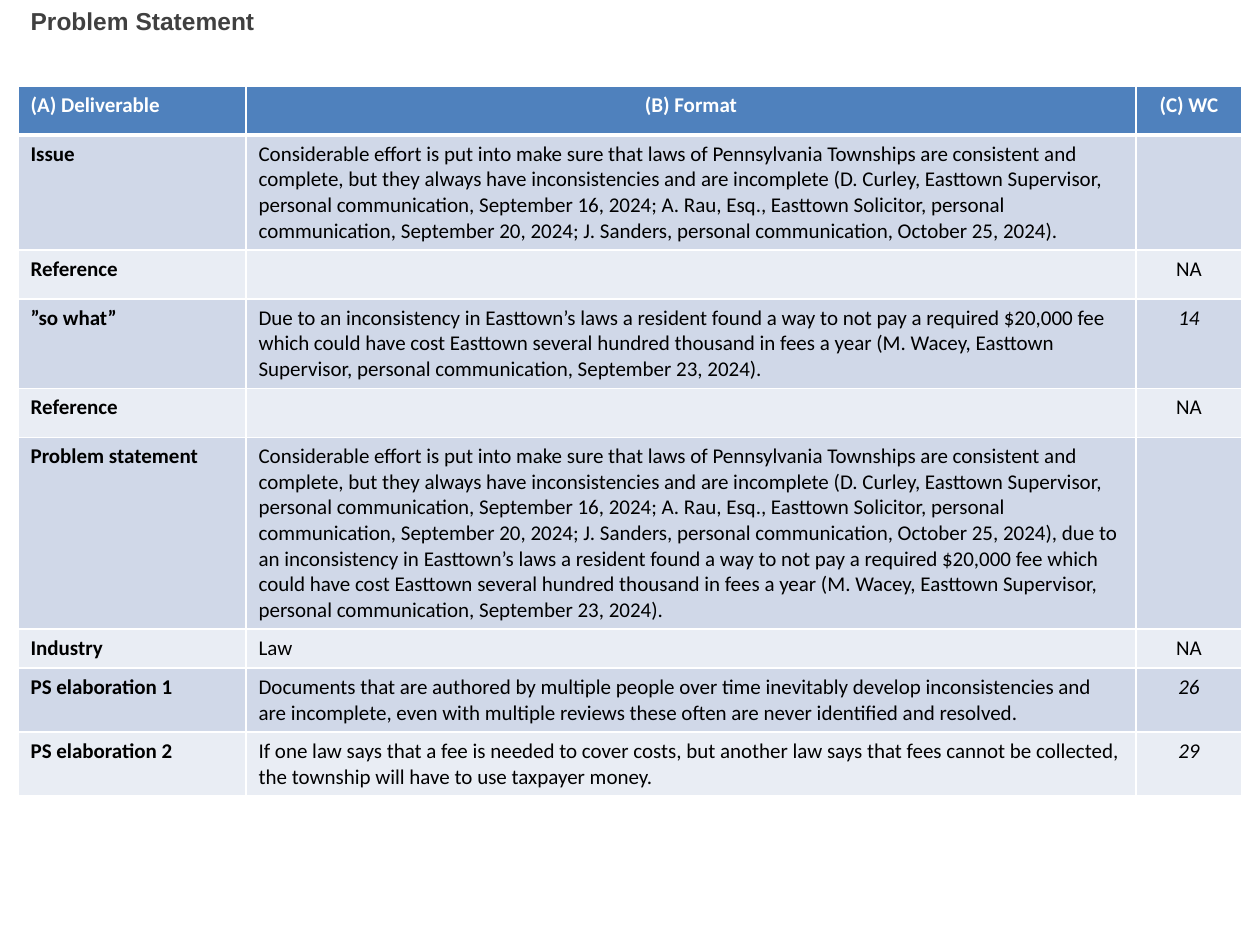
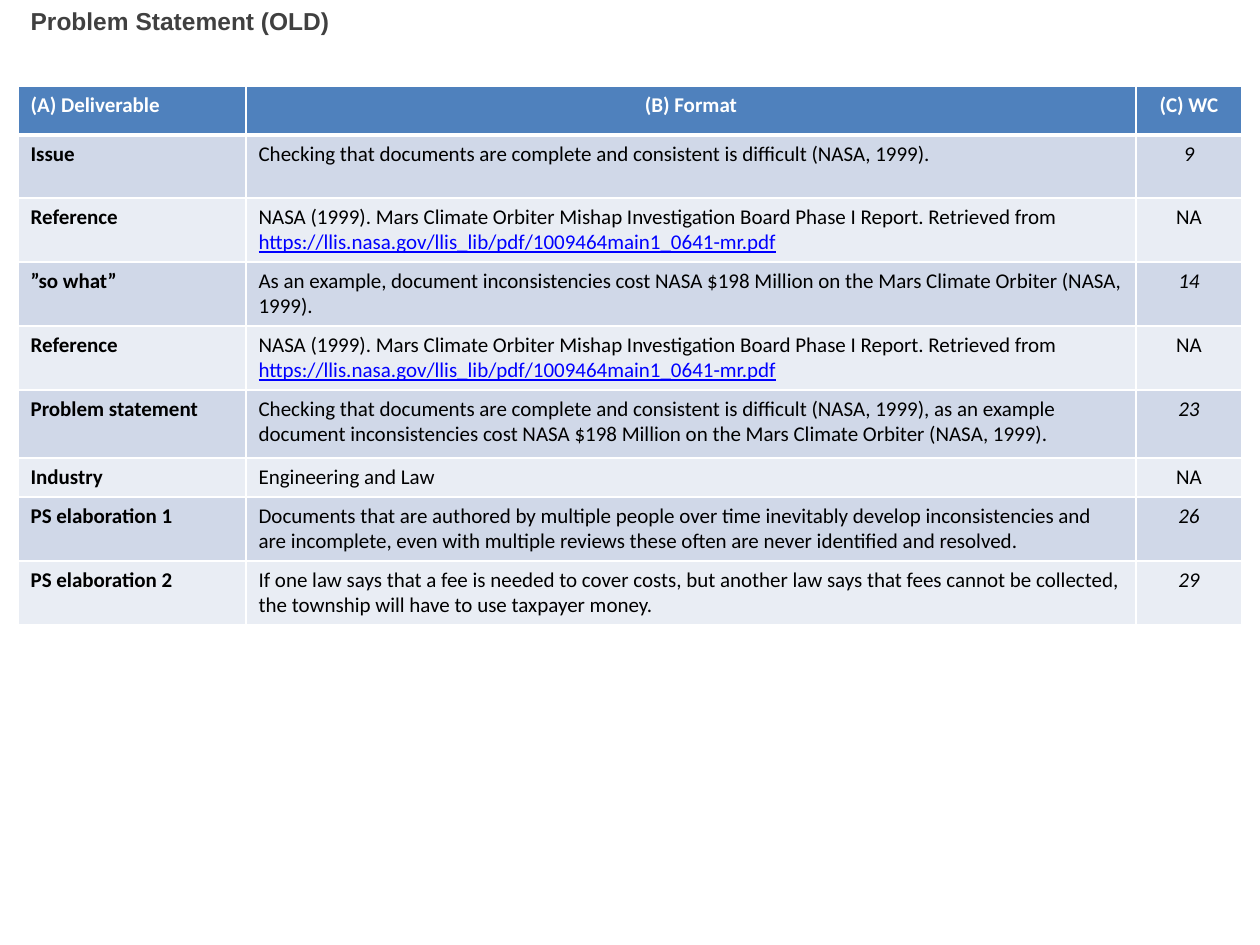
from lxml import etree
from pptx import Presentation
from pptx.dml.color import RGBColor
from pptx.enum.text import MSO_ANCHOR, MSO_AUTO_SIZE, PP_ALIGN
from pptx.oxml.ns import qn
from pptx.util import Pt

LEFT, MID = PP_ALIGN.LEFT, PP_ALIGN.CENTER
TOP = MSO_ANCHOR.TOP
FIXED = MSO_AUTO_SIZE.NONE

WHITE, BLACK, GREY = "FFFFFF", "000000", "404040"
HEAD, LINK = "4F81BD", "0000FF"
BANDS = ["D0D8E8", "E9EDF4"]

HEADS = ["(A) Deliverable", "(B) Format", "(C) WC"]
LABELS = ["Issue", "Reference", "”so what”", "Reference", "Problem statement",
          "Industry", "PS elaboration 1", "PS elaboration 2"]
COLS = [228, 890, 106]
EDGE, TABLE_TOP, TITLE_WIDE = 18, 86, 1068

ISSUE = (
    "Considerable effort is put into make sure that laws of Pennsylvania "
    "Townships are consistent and complete, but they always have "
    "inconsistencies and are incomplete (D. Curley, Easttown Supervisor, "
    "personal communication, September 16, 2024; A. Rau, Esq., Easttown "
    "Solicitor, personal communication, September 20, 2024; J. Sanders, "
    "personal communication, October 25, 2024)")
COST = (
    "ue to an inconsistency in Easttown’s laws a resident found a way to not "
    "pay a required $20,000 fee which could have cost Easttown several "
    "hundred thousand in fees a year (M. Wacey, Easttown Supervisor, "
    "personal communication, September 23, 2024).")
CHECK = ("Checking that documents are complete and consistent is difficult "
         "(NASA, 1999)")
ORBIT = ("document inconsistencies cost NASA $198 Million on the Mars Climate "
         "Orbiter (NASA, 1999).")
REPORT = ("NASA (1999). Mars Climate Orbiter Mishap Investigation Board "
          "Phase I Report. Retrieved from ")
URL = "https://llis.nasa.gov/llis_lib/pdf/1009464main1_0641-mr.pdf"
ELABS = [
    ("Documents that are authored by multiple people over time inevitably "
     "develop inconsistencies and are incomplete, even with multiple reviews "
     "these often are never identified and resolved.", "26"),
    ("If one law says that a fee is needed to cover costs, but another law "
     "says that fees cannot be collected, the township will have to use "
     "taxpayer money.", "29"),
]

SLIDES = [
    {"title": "Problem Statement",
     "highs": [49, 115, 49, 89, 49, 191, 39, 64, 63],
     "rows": [(ISSUE + ".", ""), ("", "NA"), ("D" + COST, "14"), ("", "NA"),
              (ISSUE + ", d" + COST, ""), ("Law", "NA"), *ELABS]},
    {"title": "Problem Statement (OLD)",
     "highs": [49, 63, 64, 64, 64, 68, 39, 64, 63],
     "rows": [(CHECK + ".", "9"), (REPORT, "NA", URL),
              ("As an example, " + ORBIT, "14"), (REPORT, "NA", URL),
              (CHECK + ", as an example " + ORBIT, "23"),
              ("Engineering and Law", "NA"), *ELABS]},
]


def px(size):
    return round(size * 914400 / 126)


def rgb(code):
    return RGBColor.from_string(code)


def write(frame, text, size=12, face="Calibri", color=BLACK, bold=False,
          italic=False, line=False, align=LEFT):
    par = frame.paragraphs[0]
    par.alignment = align
    if not text:
        end = etree.SubElement(par._p, qn("a:endParaRPr"))
        end.set("sz", str(size * 100))
        return
    run = par.add_run()
    run.text = text
    font = run.font
    font.size, font.name = Pt(size), face
    font.bold, font.italic, font.underline = bold, italic, line
    font.color.rgb = rgb(color)


def paint(cell, fill, top=1, base=1):
    props = cell._tc.get_or_add_tcPr()
    for side, wide in (("L", 1), ("R", 1), ("T", top), ("B", base)):
        edge = etree.SubElement(props, qn("a:ln" + side), w=str(Pt(wide)))
        solid = etree.SubElement(edge, qn("a:solidFill"))
        etree.SubElement(solid, qn("a:srgbClr"), val=WHITE)
    cell.fill.solid()
    cell.fill.fore_color.rgb = rgb(fill)


def add_title(slide, text):
    title = slide.shapes.title
    title.left, title.top = px(EDGE), 0
    title.width, title.height = px(TITLE_WIDE), px(TABLE_TOP)
    frame = title.text_frame
    frame.vertical_anchor, frame.auto_size = TOP, FIXED
    frame.word_wrap = True
    write(frame, text, size=14, face="Arial", color=GREY, bold=True)


def add_grid(slide, rows, highs):
    grid = slide.shapes.add_table(
        len(highs), len(COLS), px(EDGE), px(TABLE_TOP),
        px(sum(COLS)), px(sum(highs))).table
    for col, wide in zip(grid.columns, COLS):
        col.width = px(wide)
    for row, high in zip(grid.rows, highs):
        row.height = px(high)
    for c, head in enumerate(HEADS):
        cell = grid.cell(0, c)
        paint(cell, HEAD, base=3)
        write(cell.text_frame, head, color=WHITE, bold=True,
              align=MID if c else LEFT)
    for r, (label, row) in enumerate(zip(LABELS, rows), 1):
        text, count, *link = row
        cells = [grid.cell(r, c) for c in range(len(COLS))]
        for cell in cells:
            paint(cell, BANDS[(r - 1) % 2], top=3 if r == 1 else 1)
        name, body, words = [cell.text_frame for cell in cells]
        write(name, label, bold=True)
        write(body, text)
        for url in link:
            write(body, url, color=LINK, line=True)
        write(words, count, italic=count.isdigit(), align=MID)


def main():
    deck = Presentation()
    deck.slide_width, deck.slide_height = px(1260), px(945)
    for page in SLIDES:
        slide = deck.slides.add_slide(deck.slide_layouts[5])
        add_title(slide, page["title"])
        add_grid(slide, page["rows"], page["highs"])
    deck.save("out.pptx")


if __name__ == "__main__":
    main()
